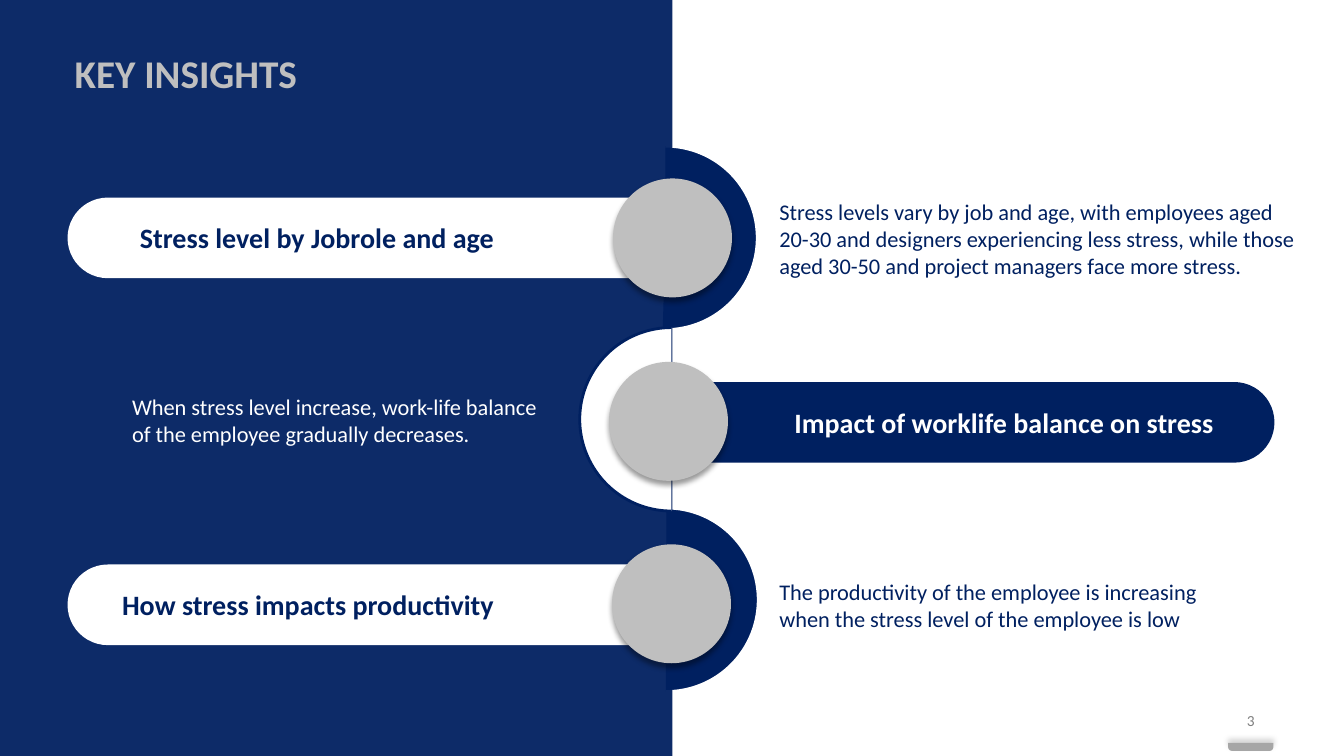
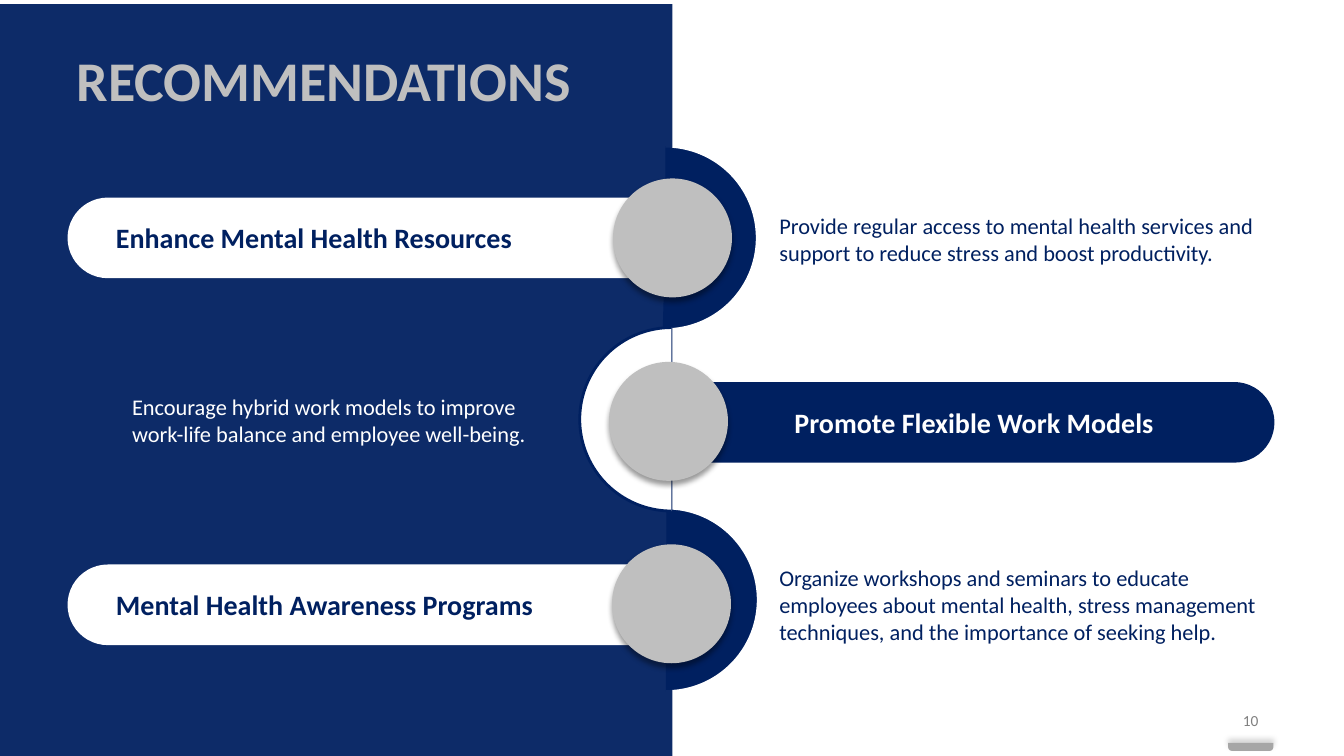
from dataclasses import dataclass

from lxml import etree
from pptx import Presentation
from pptx.dml.color import RGBColor
from pptx.enum.shapes import MSO_SHAPE
from pptx.enum.text import MSO_ANCHOR, MSO_AUTO_SIZE, PP_ALIGN
from pptx.oxml.ns import qn
from pptx.shapes.autoshape import Shape
from pptx.slide import Slide
from pptx.util import Inches, Pt

ARC = MSO_SHAPE.ARC
CIRCLE = MSO_SHAPE.OVAL
RECTANGLE = MSO_SHAPE.RECTANGLE
ROUNDED_END = MSO_SHAPE.ROUND_2_SAME_RECTANGLE
TOP = MSO_ANCHOR.TOP
MIDDLE = MSO_ANCHOR.MIDDLE
LEFT = PP_ALIGN.LEFT
CENTER = PP_ALIGN.CENTER
RIGHT = PP_ALIGN.RIGHT
GROW = MSO_AUTO_SIZE.SHAPE_TO_FIT_TEXT
FIXED = MSO_AUTO_SIZE.NONE

FONT = "Calibri"
COLORS = {
    "navy": "002060",
    "white": "FFFFFF",
    "silver": "BFBFBF",
    "tab": "A6A6A6",
    "number": "808080",
    "black": "000000",
}
TITLE_ONLY = 5
PILL_WIDTH, PILL_HEIGHT = 5.74, 0.8
ARC_SIZE, CIRCLE_SIZE = 1.82, 1.18
HEADING_HEIGHT = 0.34
LINE_HEIGHT = 0.27


@dataclass(frozen=True)
class Box:
    left: float
    top: float
    width: float
    height: float


@dataclass(frozen=True)
class TextStyle:
    size: int
    color: str
    bold: bool = False
    align: PP_ALIGN = LEFT
    anchor: MSO_ANCHOR = TOP


@dataclass(frozen=True)
class Row:
    pill_left: float
    pill_top: float
    pill_color: str
    rounded_left: bool
    arc_left: float
    arc_top: float
    arc_angles: tuple[float, float]
    arc_line: str
    circle_left: float
    circle_top: float
    heading_left: float
    heading_top: float
    heading_color: str
    text_left: float
    text_middle: float

    @property
    def arc_color(self) -> str:
        return "navy" if self.rounded_left else "white"


@dataclass(frozen=True)
class Entry:
    heading: str
    heading_width: float
    text: str
    text_width: float
    lines: int = 2


@dataclass(frozen=True)
class Page:
    title: str
    title_box: Box
    title_size: int
    panel_top: float
    heading_align: PP_ALIGN
    number: str
    entries: tuple[Entry, Entry, Entry]


ROWS = (
    Row(0.67, 1.96, "white", True, 5.69, 1.45, (162, 55.03), "white",
        6.08, 1.77, 1.15, 2.19, "navy", 7.73, 2.37),
    Row(6.9, 3.79, "navy", False, 5.75, 3.25, (54.02, 162), "navy",
        6.04, 3.59, 7.88, 4.02, "white", 1.31, 4.17),
    Row(0.67, 5.6, "white", True, 5.7, 5.04, (162, 54.25), "white",
        6.07, 5.4, 1.15, 5.83, "navy", 7.73, 6.0),
)

PAGES = (
    Page("KEY INSIGHTS", Box(0.64, 0.49, 5.38, 0.53), 28, 0, RIGHT, "3", (
        Entry("Stress level by Jobrole and age", 3.75,
              "Stress levels vary by job and age, with employees aged 20-30 and "
              "designers experiencing less stress, while those aged 30-50 and "
              "project managers face more stress.", 5.13, 3),
        Entry("Impact of worklife balance on stress", 4.6,
              "When stress level increase, work-life balance of the employee "
              "gradually decreases.", 4.23),
        Entry("How stress impacts productivity", 3.75,
              "The productivity of the employee is increasing when the stress "
              "level of the employee is low", 4.23),
    )),
    Page("RECOMMENDATIONS", Box(0.66, 0.47, 5.38, 0.71), 40, 0.04, LEFT, "10", (
        Entry("Enhance Mental Health Resources", 4.3,
              "Provide regular access to mental health services and support to "
              "reduce stress and boost productivity.", 5.44),
        Entry("Promote Flexible Work Models", 4.6,
              "Encourage hybrid work models to improve work-life balance and "
              "employee well-being.", 4.23),
        Entry("Mental Health Awareness Programs", 4.39,
              "Organize workshops and seminars to educate employees about mental "
              "health, stress management techniques, and the importance of "
              "seeking help.", 4.74, 3),
    )),
)


def rgb(name: str) -> RGBColor:
    return RGBColor.from_string(COLORS[name])


def place(shape: Shape, box: Box) -> None:
    shape.left, shape.top = Inches(box.left), Inches(box.top)
    shape.width, shape.height = Inches(box.width), Inches(box.height)


def add_shape(slide: Slide, kind: MSO_SHAPE, box: Box, fill: str) -> Shape:
    shape = slide.shapes.add_shape(kind, 0, 0, 0, 0)
    place(shape, box)
    shape.shadow.inherit = False
    shape.fill.solid()
    shape.fill.fore_color.rgb = rgb(fill)
    shape.line.fill.background()
    return shape


def add_alpha(color: etree._Element, percent: int) -> None:
    etree.SubElement(color, qn("a:alpha")).set("val", str(percent * 1000))


def add_shadow(shape: Shape, percent: int, degrees: int) -> None:
    effects = shape.element.spPr.find(qn("a:effectLst"))
    shadow = etree.SubElement(effects, qn("a:outerShdw"))
    shadow.set("blurRad", str(Pt(4)))
    shadow.set("dist", str(Pt(3)))
    shadow.set("dir", str(degrees * 60000))
    shadow.set("algn", "ctr")
    shadow.set("rotWithShape", "0")
    color = etree.SubElement(shadow, qn("a:srgbClr"))
    color.set("val", COLORS["black"])
    add_alpha(color, percent)


def write_text(shape: Shape, text: str, style: TextStyle) -> None:
    frame = shape.text_frame
    frame.word_wrap = True
    frame.vertical_anchor = style.anchor
    paragraph = frame.paragraphs[0]
    paragraph.alignment = style.align
    run = paragraph.add_run()
    run.text = text
    run.font.name = FONT
    run.font.size = Pt(style.size)
    run.font.bold = style.bold
    run.font.color.rgb = rgb(style.color)


def add_text(slide: Slide, box: Box, text: str, style: TextStyle) -> None:
    shape = slide.shapes.add_textbox(0, 0, 0, 0)
    write_text(shape, text, style)
    frame = shape.text_frame
    frame.margin_left = frame.margin_right = 0
    frame.margin_top = frame.margin_bottom = 0
    frame.auto_size = GROW
    place(shape, box)


def add_pill(slide: Slide, row: Row) -> None:
    shift = (PILL_WIDTH - PILL_HEIGHT) / 2
    box = Box(row.pill_left + shift, row.pill_top - shift, PILL_HEIGHT, PILL_WIDTH)
    pill = add_shape(slide, ROUNDED_END, box, row.pill_color)
    pill.adjustments[0] = 0.5
    pill.rotation = 270 if row.rounded_left else 90


def add_arc(slide: Slide, row: Row) -> None:
    box = Box(row.arc_left, row.arc_top, ARC_SIZE, ARC_SIZE)
    arc = add_shape(slide, ARC, box, row.arc_color)
    arc.adjustments[0], arc.adjustments[1] = row.arc_angles
    arc.line.color.rgb = rgb(row.arc_line)
    arc.line.width = Pt(2)


def add_panel(slide: Slide, top: float) -> None:
    panel = add_shape(slide, RECTANGLE, Box(0, top, 6.67, 7.5 - top), "navy")
    add_alpha(panel.element.spPr.find(".//" + qn("a:srgbClr")), 95)


def add_title(slide: Slide, page: Page) -> None:
    title = slide.shapes.title
    slide.shapes.element.append(title.element)
    place(title, page.title_box)
    style = TextStyle(page.title_size, "silver", True, LEFT, MIDDLE)
    write_text(title, page.title, style)
    title.text_frame.auto_size = GROW
    title.text_frame.paragraphs[0].line_spacing = 0.9


def add_entry(slide: Slide, row: Row, entry: Entry, align: PP_ALIGN) -> None:
    circle_box = Box(row.circle_left, row.circle_top, CIRCLE_SIZE, CIRCLE_SIZE)
    add_shadow(add_shape(slide, CIRCLE, circle_box, "silver"), 40, 90)
    heading_box = Box(row.heading_left, row.heading_top, entry.heading_width, HEADING_HEIGHT)
    heading_align = align if row.rounded_left else LEFT
    add_text(slide, heading_box, entry.heading,
             TextStyle(20, row.heading_color, True, heading_align))
    height = entry.lines * LINE_HEIGHT
    text_box = Box(row.text_left, row.text_middle - height / 2, entry.text_width, height)
    text_color = "navy" if row.rounded_left else "white"
    add_text(slide, text_box, entry.text, TextStyle(16, text_color, anchor=MIDDLE))


def add_number(slide: Slide, number: str) -> None:
    shape = slide.shapes.add_textbox(0, 0, 0, 0)
    write_text(shape, number, TextStyle(11, "number", align=CENTER, anchor=MIDDLE))
    shape.text_frame.auto_size = FIXED
    place(shape, Box(12.18, 6.95, 0.45, 0.4))


def add_layout_tab(slide: Slide) -> None:
    tab = add_shape(slide, ROUNDED_END, Box(12.18, 7.37, 0.45, 0.08), "tab")
    tab.adjustments[0] = 0.5
    tab.rotation = 180
    add_shadow(tab, 16, 270)
    slide.slide_layout.shapes.element.append(tab.element)


def build_page(slide: Slide, page: Page) -> None:
    first, middle, last = ROWS
    add_pill(slide, middle)
    add_arc(slide, first)
    add_arc(slide, last)
    add_panel(slide, page.panel_top)
    add_arc(slide, middle)
    add_title(slide, page)
    add_pill(slide, first)
    add_pill(slide, last)
    for row, entry in zip(ROWS, page.entries):
        add_entry(slide, row, entry, page.heading_align)
    add_number(slide, page.number)


def main() -> None:
    presentation = Presentation()
    presentation.slide_width = Inches(13.33)
    presentation.slide_height = Inches(7.5)
    layout = presentation.slide_layouts[TITLE_ONLY]
    slides = [presentation.slides.add_slide(layout) for page in PAGES]
    add_layout_tab(slides[0])
    for slide, page in zip(slides, PAGES):
        build_page(slide, page)
    presentation.save("out.pptx")


if __name__ == "__main__":
    main()
